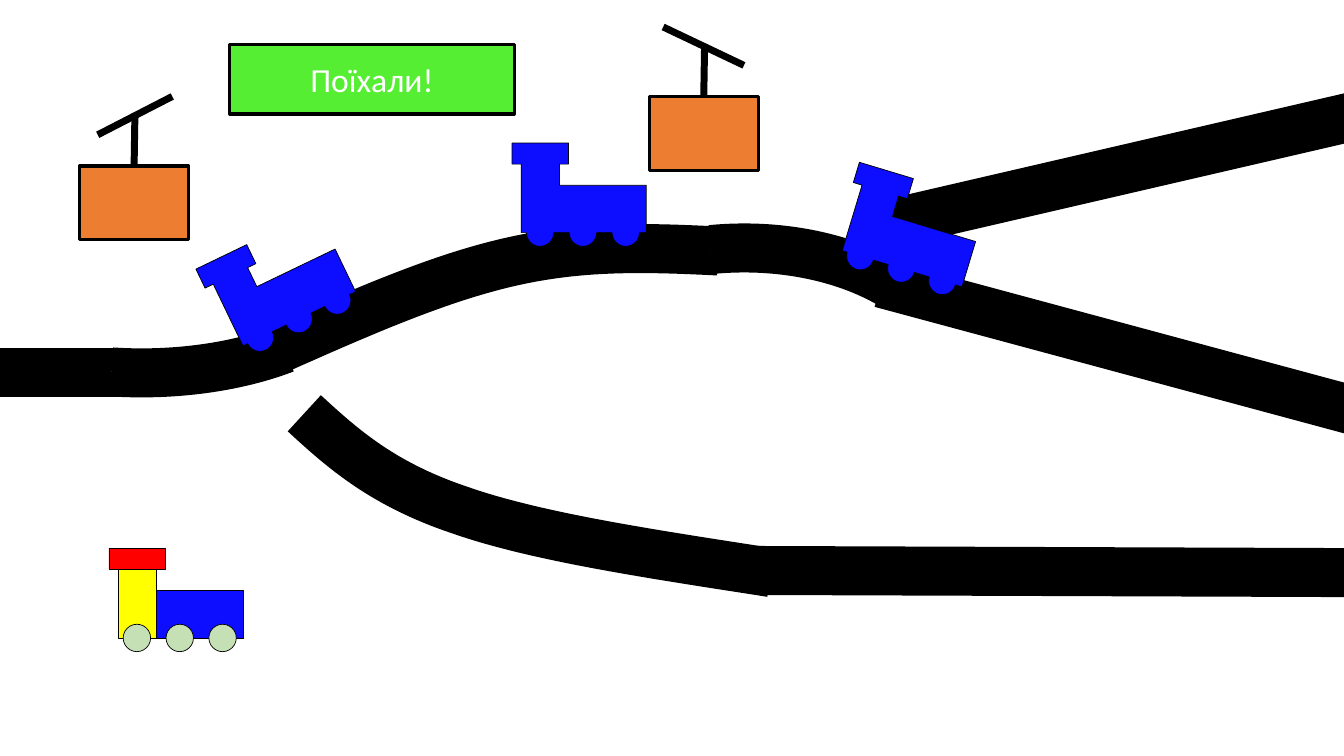
from math import cos, pi, sin

from lxml.etree import SubElement
from pptx import Presentation
from pptx.dml.color import RGBColor
from pptx.enum.shapes import MSO_CONNECTOR, MSO_SHAPE
from pptx.enum.text import MSO_ANCHOR, PP_ALIGN
from pptx.oxml.ns import qn
from pptx.util import Pt

BLACK = RGBColor(0x00, 0x00, 0x00)
WHITE = RGBColor(0xFF, 0xFF, 0xFF)
ORANGE = RGBColor(0xED, 0x7D, 0x31)
GREEN = RGBColor(0x56, 0xEE, 0x32)
BLUE = RGBColor(0x0D, 0x0D, 0xFF)
YELLOW = RGBColor(0xFF, 0xFF, 0x00)
RED = RGBColor(0xFF, 0x00, 0x00)
PALE_GREEN = RGBColor(0xC5, 0xE0, 0xB4)

RAIL_WIDTH = 35
STRAIGHT_RAILS = [
    ((960, 409), (540, 407.5)),
    ((974.2, 81.4), (629.3, 161.3)),
    ((974.2, 295.2), (629.3, 202.3)),
    ((85, 266.4), (0, 266.4)),
]
CURVED_RAILS = [
    [(200.9, 248.4), (257.8, 223.2), (314.6, 198), (367.2, 186.5),
     (419, 175), (465.8, 177.1), (513.4, 179.3)],
    [(217.4, 295.2), (244.8, 320.4), (272.9, 345.6), (328.3, 364.3),
     (383.8, 383.8), (467.3, 396), (550.8, 409)],
]
ARC_RAILS = [
    ((-69.1, 93.6, 340.6, 172.8), True),
    ((378, 177.1, 307.4, 193.7), False),
]

TRAIN_LENGTH, TRAIN_FLOOR = 95.8, 64
ROOF_WIDTH, ROOF_HEIGHT = 40.3, 15.1
CAB_LEFT, CAB_RIGHT = 6.5, 33.8
ENGINE_TOP = 30.2
WHEEL_CENTRES, WHEEL_RADIUS = (20, 50.6, 81.2), 9.8


def style(shape, fill, line_width):
    shape.shadow.inherit = False
    if fill is None:
        shape.fill.background()
    else:
        shape.fill.solid()
        shape.fill.fore_color.rgb = fill
    shape.line.color.rgb = BLACK
    shape.line.width = Pt(line_width)


def add_preset(slide, preset, box, fill, line_width):
    shape = slide.shapes.add_shape(preset, *[Pt(length) for length in box])
    style(shape, fill, line_width)
    return shape


def add_line(slide, start, end, width):
    line = slide.shapes.add_connector(
        MSO_CONNECTOR.STRAIGHT, *[Pt(value) for value in (*start, *end)])
    line.line.color.rgb = BLACK
    line.line.width = Pt(width)
    SubElement(line._element.spPr, qn("a:effectLst"))


def add_outline(slide, points, fill, line_width, close):
    vertices = [(Pt(x), Pt(y)) for x, y in points]
    builder = slide.shapes.build_freeform(*vertices[0], scale=1.0)
    builder.add_line_segments(vertices[1:], close=close)
    outline = builder.convert_to_shape()
    style(outline, fill, line_width)
    return outline


def bezier_points(controls, steps=24):
    points = [controls[0]]
    for first in range(0, len(controls) - 1, 3):
        piece = controls[first:first + 4]
        for step in range(1, steps + 1):
            t = step / steps
            weights = ((1 - t) ** 3, 3 * t * (1 - t) ** 2,
                       3 * t * t * (1 - t), t ** 3)
            points.append(tuple(
                sum(w * p[axis] for w, p in zip(weights, piece))
                for axis in (0, 1)))
    return points


def draw_rails(slide, left, top):
    for start, end in STRAIGHT_RAILS:
        add_line(slide, (left + start[0], top + start[1]),
                 (left + end[0], top + end[1]), RAIL_WIDTH)
    for controls in CURVED_RAILS:
        points = [(left + x, top + y) for x, y in bezier_points(controls)]
        add_outline(slide, points, None, RAIL_WIDTH, False)
    for (x, y, width, height), flipped in ARC_RAILS:
        arc = add_preset(slide, MSO_SHAPE.ARC,
                         (left + x, top + y, width, height), WHITE, RAIL_WIDTH)
        arc.adjustments[0] = 153.6
        arc.adjustments[1] = 195.61
        if flipped:
            arc._element.spPr.xfrm.set("flipV", "1")


def draw_cabin(slide, left, top, cable_start, cable_end):
    add_preset(slide, MSO_SHAPE.ACTION_BUTTON_CUSTOM,
               (left, top, 78, 52.6), ORANGE, 2.25)
    add_line(slide, (left + 39, top), (left + 39.6, top - 37.4), 5)
    add_line(slide, (left + cable_start[0], top + cable_start[1]),
             (left + cable_end[0], top + cable_end[1]), 5)


def draw_start_button(slide, box):
    button = add_preset(slide, MSO_SHAPE.ACTION_BUTTON_CUSTOM, box, GREEN, 2.25)
    frame = button.text_frame
    frame.word_wrap = True
    frame.vertical_anchor = MSO_ANCHOR.MIDDLE
    paragraph = frame.paragraphs[0]
    paragraph.alignment = PP_ALIGN.CENTER
    label = paragraph.add_run()
    label.text = "Поїхали!"
    label.font.size = Pt(24)
    label.font.name = "Calibri"
    label.font.color.rgb = WHITE


def draw_colour_train(slide, left, top):
    parts = [
        (CAB_RIGHT, ENGINE_TOP, TRAIN_LENGTH, TRAIN_FLOOR, BLUE),
        (CAB_LEFT, ROOF_HEIGHT, CAB_RIGHT, TRAIN_FLOOR, YELLOW),
        (0, 0, ROOF_WIDTH, ROOF_HEIGHT, RED),
    ]
    for x1, y1, x2, y2, colour in parts:
        add_preset(slide, MSO_SHAPE.RECTANGLE,
                   (left + x1, top + y1, x2 - x1, y2 - y1), colour, 0.5)
    for centre in WHEEL_CENTRES:
        add_preset(slide, MSO_SHAPE.OVAL,
                   (left + centre - WHEEL_RADIUS,
                    top + TRAIN_FLOOR - WHEEL_RADIUS,
                    2 * WHEEL_RADIUS, 2 * WHEEL_RADIUS), PALE_GREEN, 0.5)


def draw_blue_train(slide, left, top, rotation):
    points = [
        (0, 0), (ROOF_WIDTH, 0), (ROOF_WIDTH, ROOF_HEIGHT),
        (CAB_RIGHT, ROOF_HEIGHT), (CAB_RIGHT, ENGINE_TOP),
        (TRAIN_LENGTH, ENGINE_TOP), (TRAIN_LENGTH, TRAIN_FLOOR),
    ]
    for centre in reversed(WHEEL_CENTRES):
        points += [(centre + WHEEL_RADIUS * cos(pi * step / 16),
                    TRAIN_FLOOR + WHEEL_RADIUS * sin(pi * step / 16))
                   for step in range(17)]
    points += [(CAB_LEFT, TRAIN_FLOOR), (CAB_LEFT, ROOF_HEIGHT),
               (0, ROOF_HEIGHT)]
    train = add_outline(slide, [(left + x, top + y) for x, y in points],
                        BLUE, 0.5, True)
    train.rotation = rotation


def main():
    presentation = Presentation()
    presentation.slide_width = Pt(960)
    presentation.slide_height = Pt(540)
    slide = presentation.slides.add_slide(presentation.slide_layouts[6])

    draw_rails(slide, 0, 0)
    draw_cabin(slide, 56.8, 118.6, (13, -22.3), (66.3, -49.7))
    draw_cabin(slide, 463.7, 69, (10, -49.7), (67.7, -22.3))
    draw_start_button(slide, (164.2, 31.7, 203, 49.7))
    draw_colour_train(slide, 77.8, 391.7)
    for left, top, rotation in [(365.8, 102.2, 0), (151.2, 167.8, 334.3),
                                (601.2, 128.2, 16.8)]:
        draw_blue_train(slide, left, top, rotation)

    presentation.save("out.pptx")


if __name__ == "__main__":
    main()
